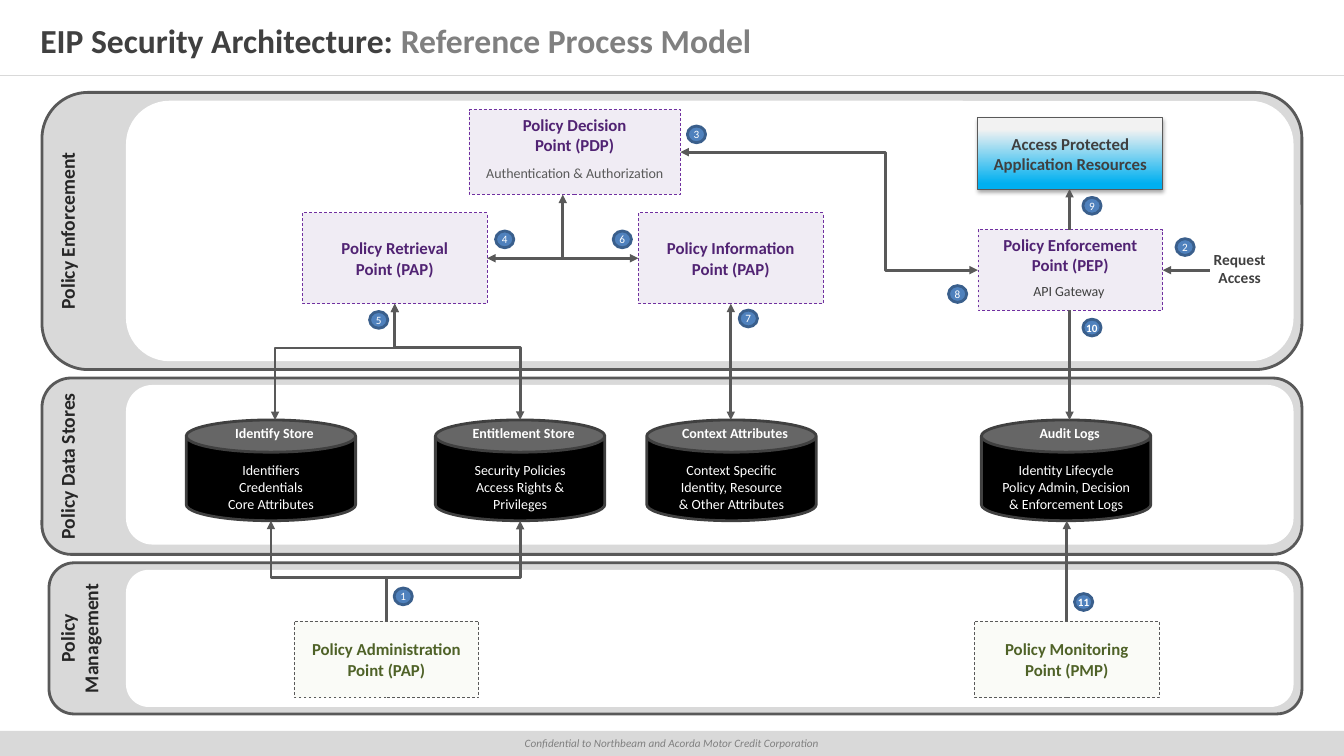
import pptx
import pptx.dml.color
import pptx.enum.dml
import pptx.enum.shapes
import pptx.enum.text
import pptx.oxml
import pptx.oxml.ns
import pptx.util
from dataclasses import dataclass

Pt = pptx.util.Pt
Shapes = pptx.enum.shapes.MSO_SHAPE
Connectors = pptx.enum.shapes.MSO_CONNECTOR
Align = pptx.enum.text.PP_ALIGN
Anchor = pptx.enum.text.MSO_ANCHOR

# Content; every position and size is in points
TITLE = [("EIP Security Architecture: ", "dark"), ("Reference Process Model", "muted")]
FOOTER = "Confidential to Northbeam and Acorda Motor Credit Corporation"

# label, label width, outer frame, inner top and height
PANELS = [
    ("Policy Enforcement", 32, (30, 66, 900, 198), (72, 186)),
    ("Policy Data Stores", 32, (30, 270, 900, 126), (275, 114)),
    ("Policy Management", 48, (35, 402, 895, 108), (407, 98)),
]
STORES = [
    (133, "Identify Store", ["Identifiers", "Credentials", "Core Attributes"]),
    (311, "Entitlement Store", ["Security Policies", "Access Rights &", "Privileges"]),
    (462, "Context Attributes", ["Context Specific", "Identity, Resource", "& Other Attributes"]),
    (701, "Audit Logs", ["Identity Lifecycle", "Policy Admin, Decision", "& Enforcement Logs"]),
]
# kind, anchor, frame, lines
BOXES = [
    ("policy", "TOP", (335, 78.5, 151, 60.5), ["Policy Decision", "Point (PDP)"]),
    ("policy", "MIDDLE", (216, 152, 132, 65), ["Policy Retrieval", "Point (PAP)"]),
    ("policy", "MIDDLE", (456, 152, 132, 65), ["Policy Information", "Point (PAP)"]),
    ("policy", "TOP", (698.5, 164, 132, 57.5), ["Policy Enforcement", "Point (PEP)"]),
    ("admin", "MIDDLE", (210, 443.5, 132, 55), ["Policy Administration", "Point (PAP)"]),
    ("admin", "MIDDLE", (696, 443.5, 132, 55), ["Policy Monitoring", "Point (PMP)"]),
    ("resource", "MIDDLE", (698.5, 84.2, 132, 51), ["Access Protected", "Application Resources"]),
]
NOTES = [
    ("API Gateway", (698.5, 198, 130, 20), "small", "dark", False),
    ("Authentication & Authorization", (335, 113.8, 151, 19.5), "small", "line", False),
    ("Request Access", (846, 175, 79, 34), "note", "dark", True),
]
# start, end, arrowheads
STRAIGHT_ARROWS = [
    ((764, 164), (764, 135), "tail"),
    ((348, 184.5), (456, 184.5), "both"),
    ((402, 184), (402, 139), "tail"),
    ((864, 193), (830.5, 193), "tail"),
    ((522, 300), (522, 217), "both"),
    ((764, 300), (764, 221.5), "head"),
    ((762, 443.5), (762, 372), "tail"),
]
# start, end, arrowheads, position of the bend, leaves its start vertically
BENT_ARROWS = [
    ((698.5, 193), (486, 108.7), "both", 0.31, False),
    ((371.5, 300), (282, 217), "both", 0.62, True),
    ((196.5, 300), (282, 217), "both", 0.62, True),
    ((276, 443.5), (371.5, 372), "tail", 0.43, True),
    ((276, 443.5), (193.5, 372), "tail", 0.43, True),
]
BADGES = {
    1: (281.5, 420), 2: (840, 170.5), 3: (491, 90), 4: (354, 165), 5: (264, 222.5),
    6: (438, 165), 7: (528, 221.5), 8: (677.5, 204), 9: (773.5, 141),
    10: (773.5, 228), 11: (767.5, 424),
}


@dataclass(frozen=True)
class Theme:
    font = "Calibri"
    colors = {
        "dark": "404040", "muted": "808080", "label": "262626", "line": "595959",
        "band": "D9D9D9", "white": "FFFFFF", "black": "000000",
        "policy": "F0ECF4", "policy_line": "7030A0", "policy_text": "512373",
        "admin": "FAFBF7", "admin_line": "595959", "admin_text": "4F6228",
        "resource_top": "F2F2F2", "resource_bottom": "00B0F0",
        "badge": "4F81BD", "badge_line": "3A5F8C",
    }
    sizes = {"title": 24, "label": 14, "box": 12, "note": 11, "small": 10, "tiny": 8}

    def color(self, name):
        return pptx.dml.color.RGBColor.from_string(self.colors[name])


THEME = Theme()


def set_all(target, values):
    for name, value in values.items():
        setattr(target, name, value)


def style_span(span, size, color, bold=False, italic=False):
    set_all(span.font, {"name": THEME.font, "size": Pt(THEME.sizes[size]),
                        "bold": bold, "italic": italic})
    span.font.color.rgb = THEME.color(color)


def write(shape, lines, size, color, bold=False, italic=False, space=0, **frame_values):
    frame = shape.text_frame
    set_all(frame, {"word_wrap": True, "vertical_anchor": Anchor.MIDDLE, **frame_values})
    for index, line in enumerate(lines):
        para = frame.add_paragraph() if index else frame.paragraphs[0]
        set_all(para, {"alignment": Align.CENTER, "space_before": Pt(space)})
        span = para.add_run()
        span.text = line
        style_span(span, size, color, bold, italic)


def add_block(page, kind, frame, fill, line=None, width=2):
    block = page.shapes.add_shape(kind, *map(Pt, frame))
    block.shadow.inherit = False
    block.fill.solid()
    block.fill.fore_color.rgb = THEME.color(fill)
    if line:
        block.line.color.rgb = THEME.color(line)
        block.line.width = Pt(width)
    else:
        block.line.fill.background()
    return block


def add_label(page, frame, text, size, color, bold=True, space=2, **frame_values):
    label = page.shapes.add_textbox(*map(Pt, frame))
    write(label, [text], size, color, bold, space=space,
          **{"vertical_anchor": Anchor.TOP, **frame_values})
    return label


def add_child(parent, tag, **values):
    child = pptx.oxml.parse_xml(f"<{tag} {pptx.oxml.ns.nsdecls('a')}/>")
    for name, value in values.items():
        child.set(name, str(value))
    parent.append(child)
    return child


def add_line(page, start, end, heads="", kind=Connectors.STRAIGHT, color="line", width=2):
    line = page.shapes.add_connector(kind, *map(Pt, (*start, *end)))
    line.line.color.rgb = THEME.color(color)
    line.line.width = Pt(width)
    outline = line.line._get_or_add_ln()
    for end_name in ("head", "tail"):
        if heads in (end_name, "both"):
            add_child(outline, f"a:{end_name}End", type="triangle")
    add_child(line._element.spPr, "a:effectLst")
    return line


def add_bent_arrow(page, start, end, heads, bend, vertical):
    """Draw an elbow; a vertical one runs upward and is a sideways elbow turned by 270 degrees."""
    if vertical:
        run, rise = end[0] - start[0], start[1] - end[1]
        middle_x, middle_y = (start[0] + end[0]) / 2, (start[1] + end[1]) / 2
        start = (middle_x - rise / 2, middle_y - run / 2)
        end = (middle_x + rise / 2, middle_y + run / 2)
    arrow = add_line(page, start, end, heads, Connectors.ELBOW)
    properties = arrow._element.spPr
    if vertical:
        properties.xfrm.set("rot", str(270 * 60000))
    guides = properties.find(".//" + pptx.oxml.ns.qn("a:avLst"))
    add_child(guides, "a:gd", name="adj1", fmla=f"val {round(bend * 100000)}")


def paint_resource(box):
    box.fill.gradient()
    box.fill.gradient_angle = 270
    stops = [("resource_top", 0.16), ("resource_bottom", 0.92)]
    for stop, (color, position) in zip(box.fill.gradient_stops, stops):
        stop.color.rgb = THEME.color(color)
        stop.position = position
    effects = box._element.spPr.find(pptx.oxml.ns.qn("a:effectLst"))
    shadow = add_child(effects, "a:outerShdw", blurRad=Pt(3.1), dist=Pt(1.8),
                       dir=90 * 60000, rotWithShape=0)
    add_child(add_child(shadow, "a:srgbClr", val=THEME.colors["black"]), "a:alpha", val=35000)


def add_box(page, kind, anchor, frame, lines):
    if kind == "resource":
        box = add_block(page, Shapes.RECTANGLE, frame, "resource_top", "line", 0.75)
        paint_resource(box)
        color = "dark"
    else:
        box = add_block(page, Shapes.RECTANGLE, frame, kind, kind + "_line", 0.5)
        box.line.dash_style = pptx.enum.dml.MSO_LINE.DASH
        color = kind + "_text"
    write(box, lines, "box", color, True, vertical_anchor=Anchor[anchor])


def add_title(page):
    title = page.shapes.title
    set_all(title, {"left": Pt(0), "top": Pt(11.5), "width": Pt(960), "height": Pt(34.5)})
    set_all(title.text_frame, {
        "margin_left": Pt(28.8), "margin_right": Pt(28.8), "margin_top": 0, "margin_bottom": 0,
        "vertical_anchor": Anchor.MIDDLE, "auto_size": pptx.enum.text.MSO_AUTO_SIZE.NONE})
    para = title.text_frame.paragraphs[0]
    para.alignment = Align.LEFT
    for text, color in TITLE:
        span = para.add_run()
        span.text = text
        style_span(span, "title", color, bold=True)


def main():
    deck = pptx.Presentation()
    set_all(deck, {"slide_width": Pt(960), "slide_height": Pt(540)})
    page = deck.slides.add_slide(deck.slide_layouts.get_by_name("Title Only"))
    add_title(page)
    add_line(page, (0, 54), (960, 54), color="band", width=0.25)
    footer = add_block(page, Shapes.RECTANGLE, (0, 522, 960, 18), "band")
    write(footer, [FOOTER], "tiny", "muted", italic=True)

    for text, width, outer, (inner_top, inner_height) in PANELS:
        add_block(page, Shapes.ROUNDED_RECTANGLE, outer, "band", "line")
        add_block(page, Shapes.ROUNDED_RECTANGLE, (90, inner_top, 834, inner_height), "white")
        label = add_label(page, (36, outer[1], width, outer[3]), text, "label", "label")
        label.text_frame._txBody.bodyPr.set("vert", "vert270")
    for left, name, lines in STORES:
        store = add_block(page, Shapes.CAN, (left, 300, 121, 72), "black", "dark")
        store.adjustments[0] = 0.32
        write(store, lines, "small", "white", margin_top=Pt(15.8))
        add_label(page, (left + 5.5, 300, 115, 19.5), name, "small", "white")
    for box in BOXES:
        add_box(page, *box)
    for arrow in STRAIGHT_ARROWS:
        add_line(page, *arrow)
    for arrow in BENT_ARROWS:
        add_bent_arrow(page, *arrow)
    for text, frame, size, color, bold in NOTES:
        add_label(page, frame, text, size, color, bold, space=0)
    margins = dict.fromkeys(("margin_left", "margin_right", "margin_top", "margin_bottom"), 0)
    for number, corner in BADGES.items():
        badge = add_block(page, Shapes.OVAL, (*corner, 13, 12), "badge", "badge_line")
        write(badge, [str(number)], "tiny", "white", number >= 10, **margins, word_wrap=False)
    deck.save("out.pptx")


if __name__ == "__main__":
    main()
